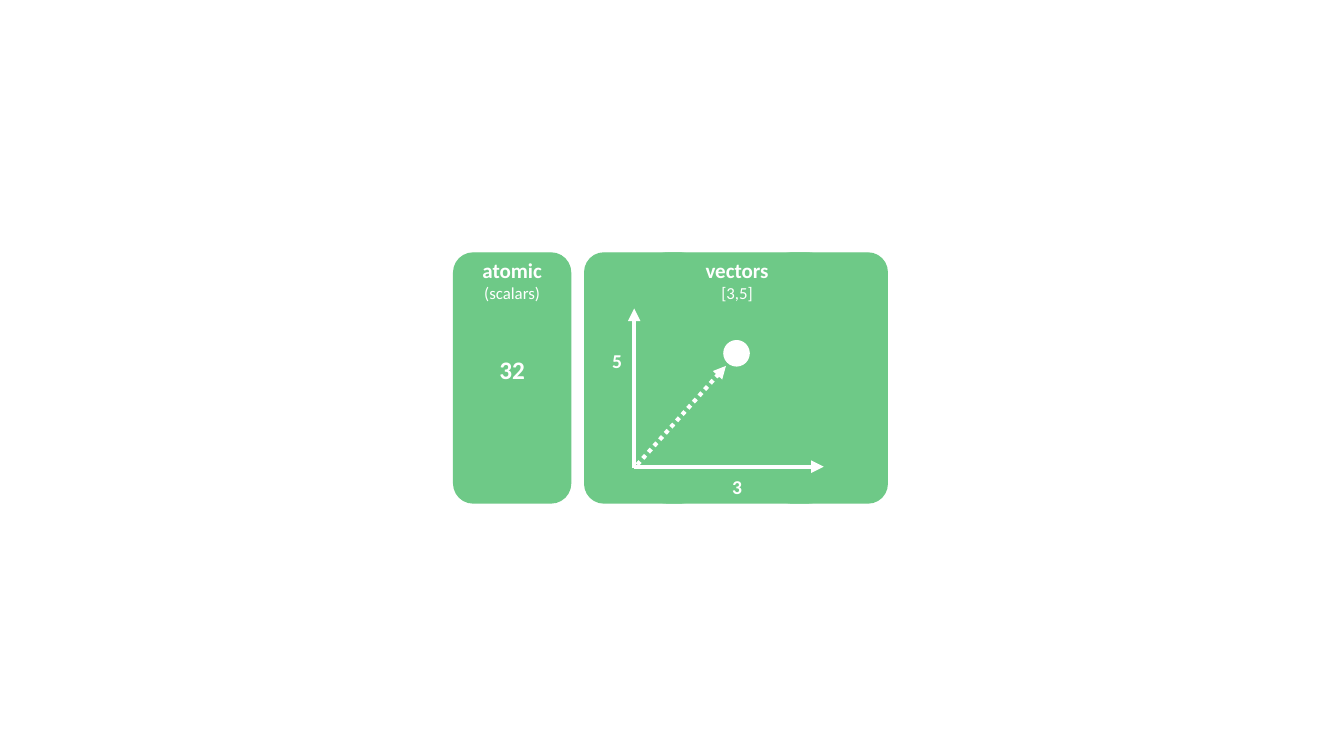
import pptx
import pptx.util
import pptx.dml.color
import pptx.enum.dml
import pptx.enum.shapes
import pptx.enum.text
import pptx.oxml.ns
from lxml import etree

Inches = pptx.util.Inches
Pt = pptx.util.Pt
SHAPE = pptx.enum.shapes.MSO_SHAPE

GREEN = pptx.dml.color.RGBColor(0x6E, 0xC9, 0x87)
WHITE = pptx.dml.color.RGBColor(0xFF, 0xFF, 0xFF)
FONT = "Calibri"
PANEL_TOP, PANEL_HEIGHT = 2.51, 2.48


def add_solid(shapes, kind, left, top, width, height, color):
    sp = shapes.add_shape(kind, Inches(left), Inches(top), Inches(width), Inches(height))
    sp.shadow.inherit = False
    sp.fill.solid()
    sp.fill.fore_color.rgb = color
    sp.line.color.rgb = color
    sp.line.width = Pt(1)


def add_panel(shapes, left, width):
    add_solid(shapes, SHAPE.ROUNDED_RECTANGLE, left, PANEL_TOP, width, PANEL_HEIGHT, GREEN)


def add_text(shapes, left, top, width, height, lines):
    """Add centred white lines, each given as (text, size, bold, points before)."""
    tf = shapes.add_textbox(Inches(left), Inches(top), Inches(width), Inches(height)).text_frame
    tf.word_wrap = True
    for i, (text, size, bold, before) in enumerate(lines):
        p = tf.add_paragraph() if i else tf.paragraphs[0]
        p.alignment = pptx.enum.text.PP_ALIGN.CENTER
        p.space_before = Pt(before)
        r = p.add_run()
        r.text = text
        r.font.name = FONT
        r.font.size = Pt(size)
        r.font.bold = bold
        r.font.color.rgb = WHITE


def add_arrow(shapes, start, end, dash=None):
    x1, y1, x2, y2 = (Inches(v) for v in (*start, *end))
    line = shapes.add_connector(pptx.enum.shapes.MSO_CONNECTOR.STRAIGHT, x1, y1, x2, y2)
    line.line.color.rgb = WHITE
    line.line.width = Pt(3)
    if dash is not None:
        line.line.dash_style = dash
    qn = pptx.oxml.ns.qn
    sp_pr = line._element.spPr
    etree.SubElement(sp_pr.find(qn("a:ln")), qn("a:tailEnd"), type="triangle")
    etree.SubElement(sp_pr, qn("a:effectLst"))


def add_atomic(slide):
    shapes = slide.shapes.add_group_shape().shapes
    add_panel(shapes, 4.5, 1.16)
    add_text(shapes, 4.5, PANEL_TOP, 1.16, 1.36,
             [("atomic", 15, True, 0), ("(scalars)", 12, False, 0), ("32", 18, True, 36.6)])


def add_vectors(slide):
    shapes = slide.shapes.add_group_shape().shapes
    for left, width in ((5.8, 1.14), (7.66, 1.14), (6.29, 2.05)):
        add_panel(shapes, left, width)
    add_text(shapes, 5.82, PANEL_TOP, 2.98, 0.56,
             [("vectors", 15, True, 0), ("[3,5]", 12, False, 0)])
    add_arrow(shapes, (6.29, 4.64), (6.29, 3.06))
    add_arrow(shapes, (6.29, 4.63), (8.17, 4.63))
    add_arrow(shapes, (6.32, 4.61), (7.2, 3.63), pptx.enum.dml.MSO_LINE.ROUND_DOT)
    add_solid(shapes, SHAPE.OVAL, 7.18, 3.38, 0.25, 0.25, WHITE)
    add_text(shapes, 6.73, 4.66, 1.16, 0.34, [("3", 14, True, 0)])
    add_text(slide.shapes, 5.54, 3.41, 1.16, 0.34, [("5", 14, True, 0)])


def main():
    prs = pptx.Presentation()
    prs.slide_width, prs.slide_height = Inches(13.33), Inches(7.5)
    slide = prs.slides.add_slide(prs.slide_layouts[6])
    add_atomic(slide)
    add_vectors(slide)
    prs.save("out.pptx")


if __name__ == "__main__":
    main()
